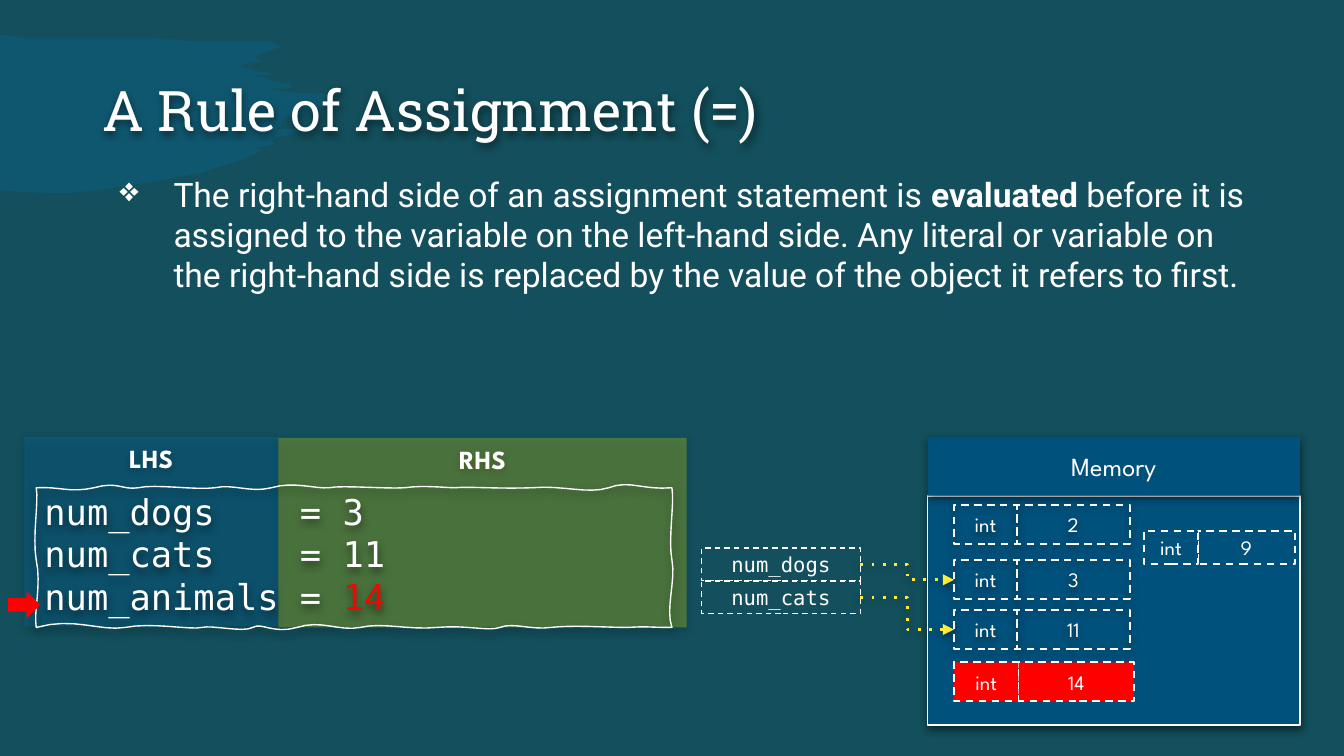
from lxml import etree
from pptx import Presentation
from pptx.dml.color import RGBColor
from pptx.enum.dml import MSO_LINE
from pptx.enum.shapes import MSO_CONNECTOR, MSO_SHAPE
from pptx.enum.text import MSO_ANCHOR, MSO_AUTO_SIZE, PP_ALIGN
from pptx.oxml.ns import qn
from pptx.util import Cm, Pt

RECTANGLE, RIGHT_ARROW = MSO_SHAPE.RECTANGLE, MSO_SHAPE.RIGHT_ARROW
ELBOW, DASH = MSO_CONNECTOR.ELBOW, MSO_LINE.DASH
TOP, MIDDLE = MSO_ANCHOR.TOP, MSO_ANCHOR.MIDDLE
LEFT, CENTER = PP_ALIGN.LEFT, PP_ALIGN.CENTER
SANS, BODY, SERIF, MONO = "League Spartan", "Roboto", "Roboto Slab", "DejaVu Sans Mono"
WHITE, RED, NAVY, BLUE, YELLOW = "FFFFFF", "FF0000", "00517C", "0277BD", "FFFF00"
BACKGROUND, ARROW_YELLOW = "134F5C", "FFEB38"
OUTLINE_UNIT = 0.0254

TITLE = "A Rule of Assignment (=)"
RULE = [
    ("The right-hand side of an assignment statement is ", False),
    ("evaluated ", True),
    ("before it is assigned to the variable on the left-hand side. Any literal or variable "
     "on the right-hand side is replaced by the value of the object it refers to first.", False),
]
CODE = [("num_dogs", "3", WHITE), ("num_cats", "11", WHITE), ("num_animals", "14", RED)]
SIDES = [("LHS", 0.46, 8.26, 4.8, BLUE), ("RHS", 5.26, 8.28, 7.72, YELLOW)]
MEMORY_LEFT, MEMORY_TOP, MEMORY_WIDTH = 17.53, 8.26, 7.04
HEADER_HEIGHT, MEMORY_HEIGHT = 1.11, 4.34
OBJECTS = [
    ("3", 18.03, 10.59, 1.19, 2.13, 0.74, None, True),
    ("2", 18.03, 9.55, 1.19, 2.13, 0.74, None, True),
    ("11", 18.03, 11.53, 1.19, 2.13, 0.74, None, True),
    ("9", 21.62, 10.03, 1.02, 1.83, 0.64, NAVY, False),
    ("14", 18.03, 12.52, 1.22, 2.18, 0.74, RED, False),
]
REFERENCES = [("num_dogs", "3"), ("num_cats", "11")]
REFERENCE_LEFT, REFERENCE_TOP, REFERENCE_WIDTH, REFERENCE_HEIGHT = 13.26, 10.36, 3, 0.62

BRUSH = [
    (0, 26), (5, 26), (19, 28), (50, 28), (76, 28), (113, 28), (146, 31), (186, 31), (200, 31),
    (210, 35), (203, 37), (191, 41), (190, 43), (192, 44), (197, 46), (187, 46), (178, 49),
    (185, 51), (192, 53), (199, 54), (206, 56), (188, 56), (197, 58), (205, 61), (210, 62),
    (216, 62), (217, 64), (216, 66), (213, 66), (197, 66), (220, 69), (248, 70), (241, 73),
    (242, 77), (239, 80), (230, 84), (225, 85), (212, 87), (210, 90), (209, 94), (205, 96),
    (231, 96), (202, 104), (205, 107), (189, 111), (197, 111), (180, 119), (148, 129),
    (115, 135), (77, 141), (49, 144), (17, 143), (6, 142), (0, 141),
]
CODE_START = (27, 363)
CODE_CURVES = [
    (44, 362, 52, 367, 70, 363), (88, 358, 91, 365, 103, 363), (115, 360, 146, 365, 160, 363),
    (174, 360, 186, 367, 202, 363), (219, 358, 234, 364, 245, 363), (255, 361, 287, 364, 301, 363),
    (316, 361, 330, 363, 339, 363), (348, 362, 373, 364, 396, 363), (419, 361, 437, 368, 453, 363),
    (468, 357, 479, 365, 500, 363), (502, 375, 497, 401, 500, 417), (503, 432, 495, 453, 500, 467),
    (483, 467, 483, 466, 467, 467), (451, 467, 426, 465, 410, 467), (394, 469, 382, 463, 372, 467),
    (363, 470, 347, 465, 325, 467), (303, 469, 285, 463, 268, 467), (252, 470, 239, 461, 221, 467),
    (203, 472, 195, 463, 188, 467), (181, 471, 158, 465, 150, 467), (142, 469, 113, 463, 93, 467),
    (74, 470, 55, 459, 27, 467), (25, 455, 31, 435, 27, 417), (24, 399, 29, 374, 27, 363),
]


def color(value):
    return RGBColor.from_string(value)


def add_child(parent, tag, **attributes):
    return etree.SubElement(parent, qn(tag), attributes)


def add_shadow(effects):
    shadow = add_child(effects, "a:outerShdw", blurRad="57150", dist="19050",
                       dir="5400000", algn="bl", rotWithShape="0")
    black = add_child(shadow, "a:srgbClr", val="000000")
    add_child(black, "a:alpha", val="50000")


def style(shape, fill=None, opacity=100, line=None, width=1, dash=False, shadow=False):
    shape.shadow.inherit = False
    if shadow:
        add_shadow(shape._element.spPr.find(qn("a:effectLst")))
    if fill:
        shape.fill.solid()
        shape.fill.fore_color.rgb = color(fill)
        if opacity < 100:
            fill_color = shape._element.spPr.find(qn("a:solidFill"))[0]
            add_child(fill_color, "a:alpha", val=str(opacity * 1000))
    else:
        shape.fill.background()
    if line:
        shape.line.color.rgb = color(line)
        shape.line.width = Pt(width)
        if dash:
            shape.line.dash_style = DASH
    else:
        shape.line.fill.background()


def set_frame(shape, anchor):
    frame = shape.text_frame
    frame.word_wrap = True
    frame.auto_size = MSO_AUTO_SIZE.NONE
    frame.vertical_anchor = anchor
    frame.margin_left = frame.margin_right = Cm(0.18)
    frame.margin_top = frame.margin_bottom = Cm(0.1)
    return frame


def set_font(paragraph, name, size, alignment=CENTER, bold=False):
    paragraph.alignment = alignment
    font = paragraph.font
    font.name, font.size, font.bold = name, Pt(size), bold
    font.color.rgb = color(WHITE)


def add_box(slide, box, text="", font=SANS, size=11, anchor=MIDDLE, bold=False,
            kind=RECTANGLE, **look):
    shape = slide.shapes.add_shape(kind, *(Cm(length) for length in box))
    style(shape, **look)
    if text:
        paragraph = set_frame(shape, anchor).paragraphs[0]
        paragraph.text = text
        set_font(paragraph, font, size, bold=bold)
    return shape


def add_outline(slide, points):
    start, *rest = [tuple(Cm(value * OUTLINE_UNIT) for value in point) for point in points]
    builder = slide.shapes.build_freeform(*start)
    builder.add_line_segments(rest)
    return builder.convert_to_shape()


def sample_curves(start, curves, steps=8):
    points = [start]
    for curve in curves:
        corners = [points[-1], curve[:2], curve[2:4], curve[4:]]
        for step in range(1, steps + 1):
            t = step / steps
            weights = ((1 - t) ** 3, 3 * t * (1 - t) ** 2, 3 * t * t * (1 - t), t ** 3)
            points.append(tuple(sum(weight * corner[axis] for weight, corner in zip(weights, corners))
                                for axis in (0, 1)))
    return points


def add_title_and_rule(slide):
    title = slide.shapes.title
    title.left, title.top, title.width, title.height = Cm(1.75), Cm(0.76), Cm(21.89), Cm(2.77)
    title.shadow.inherit = False
    add_shadow(title._element.spPr.find(qn("a:effectLst")))
    paragraph = set_frame(title, MIDDLE).paragraphs[0]
    paragraph.text = TITLE
    paragraph.line_spacing = 0.9
    set_font(paragraph, SERIF, 30, LEFT)

    rule = slide.shapes.add_textbox(Cm(1.83), Cm(3.18), Cm(21.89), Cm(5))
    paragraph = set_frame(rule, TOP).paragraphs[0]
    paragraph.space_before = Pt(8)
    properties = paragraph._p.get_or_add_pPr()
    properties.set("marL", str(Cm(1.27)))
    properties.set("indent", str(Cm(-1.02)))
    add_child(add_child(properties, "a:buClr"), "a:srgbClr", val=WHITE)
    add_child(properties, "a:buChar", char="❖")
    set_font(paragraph, BODY, 18, LEFT)
    for text, bold in RULE:
        run = paragraph.add_run()
        run.text, run.font.bold = text, bold


def add_code(slide):
    for text, left, top, width, fill in SIDES:
        add_box(slide, (left, top, width, 3.58), text, size=14, anchor=TOP, bold=True,
                fill=fill, opacity=24, shadow=True)
    code = add_outline(slide, sample_curves(CODE_START, CODE_CURVES))
    style(code, line=WHITE, width=0.75, shadow=True)
    frame = set_frame(code, TOP)
    for index, (name, value, value_color) in enumerate(CODE):
        paragraph = frame.add_paragraph() if index else frame.paragraphs[0]
        set_font(paragraph, MONO, 19, LEFT)
        paragraph.add_run().text = f"{name:<11} = "
        run = paragraph.add_run()
        run.text, run.font.color.rgb = value, color(value_color)
    add_box(slide, (0.15, 11.18, 0.61, 0.51), kind=RIGHT_ARROW, fill=RED)


def add_memory(slide):
    body_top = MEMORY_TOP + HEADER_HEIGHT
    add_box(slide, (MEMORY_LEFT, body_top, MEMORY_WIDTH, MEMORY_HEIGHT),
            fill=NAVY, line=WHITE, shadow=True)
    add_box(slide, (MEMORY_LEFT, MEMORY_TOP, MEMORY_WIDTH, HEADER_HEIGHT), "Memory",
            size=14, fill=NAVY, shadow=True)
    type_cells = {}
    for value, left, top, type_width, value_width, height, fill, shadow in OBJECTS:
        look = dict(fill=fill, line=WHITE, dash=True, shadow=shadow)
        add_box(slide, (left + type_width, top, value_width, height), value, **look)
        type_cells[value] = add_box(slide, (left, top, type_width, height), "int", **look)
    return type_cells


def add_references(slide, type_cells):
    for index, (name, value) in enumerate(REFERENCES):
        top = REFERENCE_TOP + index * REFERENCE_HEIGHT
        label = add_box(slide, (REFERENCE_LEFT, top, REFERENCE_WIDTH, REFERENCE_HEIGHT), name,
                        font=MONO, line=WHITE, width=0.75, dash=True)
        connector = slide.shapes.add_connector(ELBOW, 0, 0, 0, 0)
        connector.begin_connect(label, 3)
        connector.end_connect(type_cells[value], 1)
        connector.line.color.rgb = color(ARROW_YELLOW)
        connector.line.width = Pt(1.5)
        line = connector.line._get_or_add_ln()
        add_child(line, "a:prstDash", val="dot")
        add_child(line, "a:tailEnd", type="triangle")
        add_shadow(add_child(connector._element.spPr, "a:effectLst"))


def main():
    """Build the slide on the rule of assignment and save it."""
    presentation = Presentation()
    presentation.slide_width, presentation.slide_height = Cm(25.4), Cm(14.29)
    slide = presentation.slides.add_slide(presentation.slide_layouts[5])
    slide.background.fill.solid()
    slide.background.fill.fore_color.rgb = color(BACKGROUND)
    brush = add_outline(slide, BRUSH)
    style(brush, fill=BLUE, opacity=20)
    slide.shapes._spTree.insert(2, brush._element)
    add_code(slide)
    add_title_and_rule(slide)
    add_references(slide, add_memory(slide))
    presentation.save("out.pptx")


if __name__ == "__main__":
    main()
